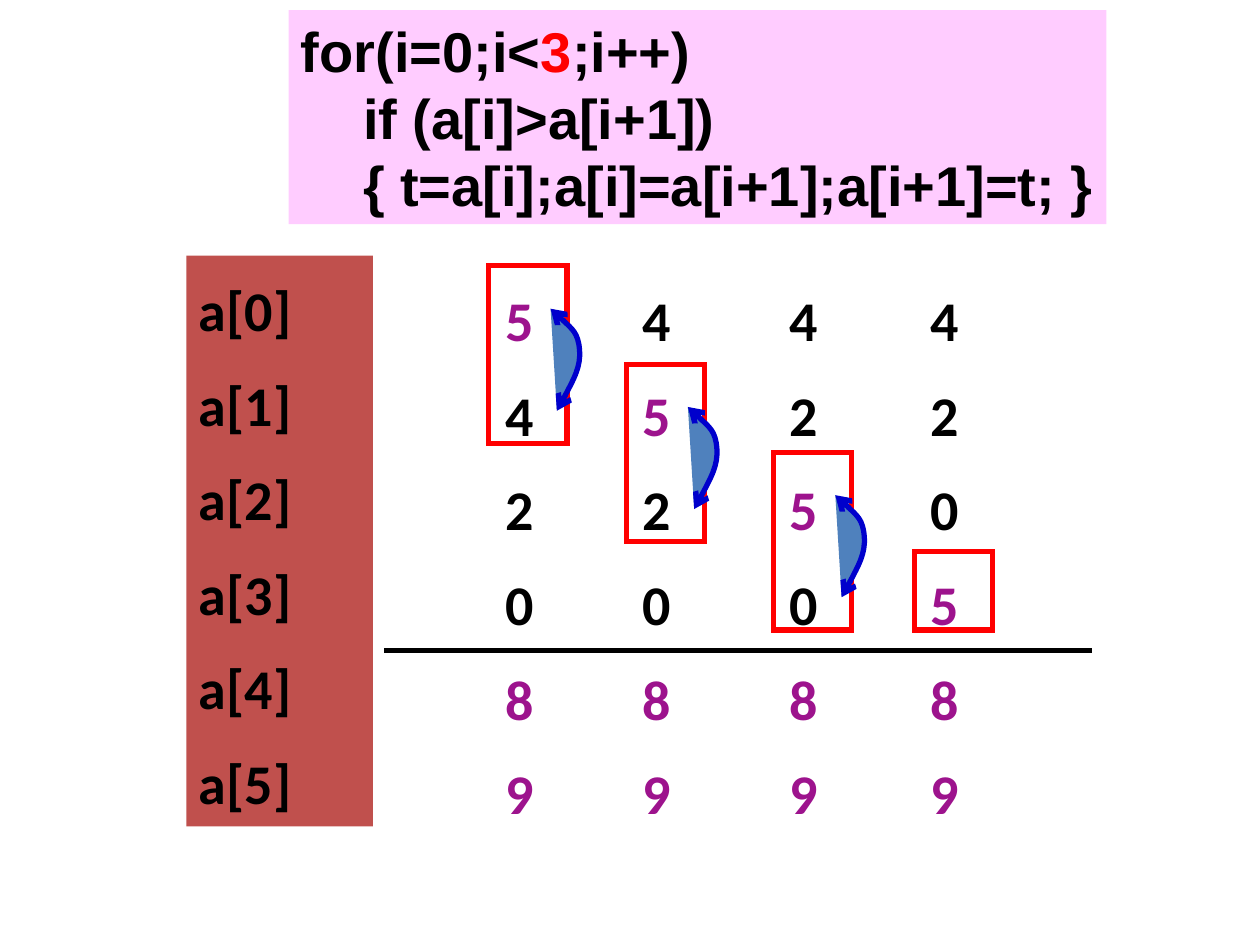
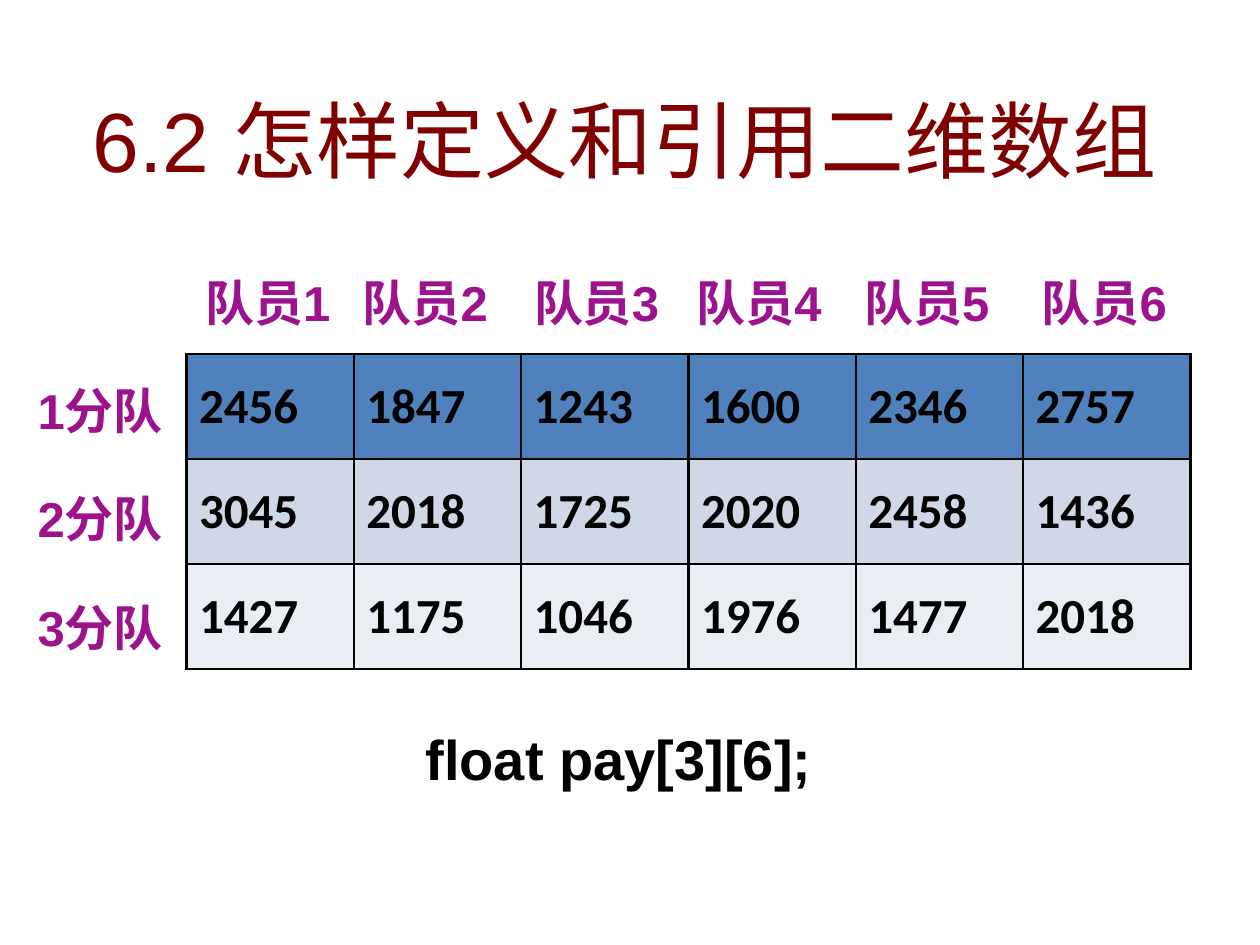
from lxml import etree
from pptx import Presentation
from pptx.dml.color import RGBColor
from pptx.enum.shapes import MSO_CONNECTOR as Connector, MSO_SHAPE as Preset
from pptx.enum.text import MSO_ANCHOR as Anchor, MSO_AUTO_SIZE as AutoSize, PP_ALIGN as Align
from pptx.oxml.ns import qn
from pptx.util import Inches, Pt

# Shared colours and fonts
BLACK = RGBColor(0x00, 0x00, 0x00)
RED = RGBColor(0xFF, 0x00, 0x00)
PURPLE = RGBColor(0x9D, 0x13, 0x8D)
MAROON = RGBColor(0x80, 0x00, 0x00)
BRICK = RGBColor(0xC0, 0x50, 0x4D)
PINK = RGBColor(0xFF, 0xCC, 0xFF)
BLUE = RGBColor(0x4F, 0x81, 0xBD)
DARK_BLUE = RGBColor(0x00, 0x00, 0xCC)
ROW_FILLS = [BLUE, RGBColor(0xD0, 0xD8, 0xE8), RGBColor(0xE9, 0xED, 0xF4)]
LATIN = "Arial"
NUMERIC = "Calibri"

TITLE_ONLY, BLANK = 5, 6

# Bubble pass: column left, box top, box height, values a[0] to a[5]
PASS_STEPS = [
    (3.91, 2.11, 1.41, [5, 4, 2, 0, 8, 9]),
    (5, 2.89, 1.41, [4, 5, 2, 0, 8, 9]),
    (6.17, 3.59, 1.41, [4, 2, 5, 0, 8, 9]),
    (7.29, 4.38, 0.62, [4, 2, 0, 5, 8, 9]),
]
# Swap arrow: start point and two cubic curves, measured from the box corner
SWAP_CURVE = [(0.54, 1.15), (0.64, 0.97), (0.73, 0.8), (0.72, 0.67),
              (0.71, 0.53), (0.6, 0.44), (0.49, 0.34)]

CODE = [
    [("for(i=0;i<", BLACK), ("3", RED), (";i++)", BLACK)],
    [("    if (a[i]>a[i+1])", BLACK)],
    [("    { t=a[i];a[i]=a[i+1];a[i+1]=t; }", BLACK)],
]

PAY = [
    [2456, 1847, 1243, 1600, 2346, 2757],
    [3045, 2018, 1725, 2020, 2458, 1436],
    [1427, 1175, 1046, 1976, 1477, 2018],
]
MEMBER_LEFTS = [1.53, 2.78, 4.14, 5.43, 6.76, 8.17]


def style(paragraph, size, font, color=None):
    paragraph.font.size = Pt(size)
    paragraph.font.name = font
    paragraph.font.bold = True
    if color is not None:
        paragraph.font.color.rgb = color


def add_lines(slide, place, lines, size=32, font=LATIN, fill=None, wrap=True):
    """Text box whose lines are lists of (text, colour) runs."""
    box = slide.shapes.add_textbox(*map(Inches, place))
    if fill is not None:
        box.fill.solid()
        box.fill.fore_color.rgb = fill
    frame = box.text_frame
    frame.word_wrap = wrap
    if not wrap:
        frame.auto_size = AutoSize.SHAPE_TO_FIT_TEXT
    for index, runs in enumerate(lines):
        paragraph = frame.add_paragraph() if index else frame.paragraphs[0]
        style(paragraph, size, font)
        for text, color in runs:
            run = paragraph.add_run()
            run.text = text
            run.font.color.rgb = color
    return frame


def add_array(slide, left, top, width, entries, fill=None):
    """Column of array elements with the spacing all columns share."""
    frame = add_lines(slide, (left, top, width, 4.53), [[entry] for entry in entries],
                      font=NUMERIC, fill=fill)
    for index, paragraph in enumerate(frame.paragraphs):
        paragraph.line_spacing = 1.2
        if index:
            paragraph.space_before = Pt(8)


def add_compare_box(slide, left, top, height):
    box = slide.shapes.add_shape(Preset.FLOWCHART_PROCESS, Inches(left), Inches(top),
                                 Inches(0.62), Inches(height))
    box.shadow.inherit = False
    box.fill.background()
    box.line.color.rgb = RED
    box.line.width = Pt(3)
    etree.SubElement(box.line._get_or_add_ln(), qn("a:miter"), lim="800000")


def add_swap_arrow(slide, left, top):
    points = [(Inches(left + x), Inches(top + y)) for x, y in SWAP_CURVE]
    builder = slide.shapes.build_freeform(*points[0])
    builder.add_line_segments(points[1:], close=False)
    arrow = builder.convert_to_shape()
    arrow.shadow.inherit = False
    arrow.fill.solid()
    arrow.fill.fore_color.rgb = BLUE
    arrow.line.color.rgb = DARK_BLUE
    arrow.line.width = Pt(3)
    # Every three straight segments become one cubic curve
    outline = next(arrow.element.iter(qn("a:path")))
    segments = outline.findall(qn("a:lnTo"))
    for start in range(0, len(segments), 3):
        curve = etree.SubElement(outline, qn("a:cubicBezTo"))
        for segment in segments[start:start + 3]:
            curve.append(segment[0])
            outline.remove(segment)
    for end in ("a:headEnd", "a:tailEnd"):
        etree.SubElement(arrow.line._get_or_add_ln(), qn(end), type="arrow")


def add_rule(slide, left, right, y):
    rule = slide.shapes.add_connector(Connector.STRAIGHT, Inches(left), Inches(y),
                                      Inches(right), Inches(y))
    rule.line.color.rgb = BLACK
    rule.line.width = Pt(3)
    etree.SubElement(rule.element.spPr, qn("a:effectLst"))


def add_borders(cell):
    properties = cell._tc.get_or_add_tcPr()
    for index, side in enumerate(("a:lnL", "a:lnR", "a:lnT", "a:lnB")):
        border = etree.Element(qn(side), w=str(Pt(1.5)))
        solid = etree.SubElement(border, qn("a:solidFill"))
        etree.SubElement(solid, qn("a:srgbClr"), val=str(BLACK))
        properties.insert(index, border)


def add_pay_table(slide):
    table = slide.shapes.add_table(len(PAY), len(PAY[0]), Inches(1.48), Inches(2.81),
                                   Inches(7.97), Inches(2.5)).table
    for row, (amounts, fill) in enumerate(zip(PAY, ROW_FILLS)):
        for column, amount in enumerate(amounts):
            cell = table.cell(row, column)
            cell.text = str(amount)
            cell.vertical_anchor = Anchor.MIDDLE
            cell.fill.solid()
            cell.fill.fore_color.rgb = fill
            style(cell.text_frame.paragraphs[0], 28, NUMERIC, BLACK)
            add_borders(cell)


def add_label(slide, left, top, text):
    label = add_lines(slide, (left, top, 1.28, 0.57), [[(text, PURPLE)]], size=28)
    # Leaves the label enough room to stay on one line
    label.margin_right = 0


def set_title(slide, text):
    title = slide.shapes.title
    title.left, title.top, title.width, title.height = map(Inches, (0.31, 0.65, 9.3, 0.91))
    title.text_frame.text = text
    title.text_frame.vertical_anchor = Anchor.MIDDLE
    heading = title.text_frame.paragraphs[0]
    heading.alignment = Align.CENTER
    heading.font.size = Pt(48)
    heading.font.name = LATIN
    heading.font.color.rgb = MAROON


def build_bubble_pass(deck):
    slide = deck.slides.add_slide(deck.slide_layouts[BLANK])
    add_rule(slide, 3.05, 8.67, 5.16)
    for left, top, height, values in PASS_STEPS:
        # The moving 5 and the elements already in place are highlighted
        entries = [(str(value), PURPLE if value >= 5 else BLACK) for value in values]
        add_array(slide, left, 2.11, 0.78, entries)
        add_compare_box(slide, left - 0.03, top, height)
        if height > 1:
            add_swap_arrow(slide, left - 0.03, top)
    add_array(slide, 1.48, 2.03, 1.48, [(f"a[{i}]", BLACK) for i in range(6)], fill=BRICK)
    add_lines(slide, (2.29, 0.08, 6.49, 1.7), CODE, fill=PINK, wrap=False)


def build_two_dimensional_array(deck):
    slide = deck.slides.add_slide(deck.slide_layouts[TITLE_ONLY])
    set_title(slide, "6.2 怎样定义和引用二维数组")
    add_pay_table(slide)
    for team in range(3):
        add_label(slide, 0.2, 2.97 + 0.86 * team, f"{team + 1}分队")
    for member, left in enumerate(MEMBER_LEFTS, start=1):
        add_label(slide, left, 2.11, f"队员{member}")
    add_lines(slide, (3.28, 5.7, 3.75, 0.64), [[("float pay[3][6];", BLACK)]])


def main():
    deck = Presentation()
    deck.slide_width, deck.slide_height = Inches(10), Inches(7.5)
    build_bubble_pass(deck)
    build_two_dimensional_array(deck)
    deck.save("out.pptx")


if __name__ == "__main__":
    main()
